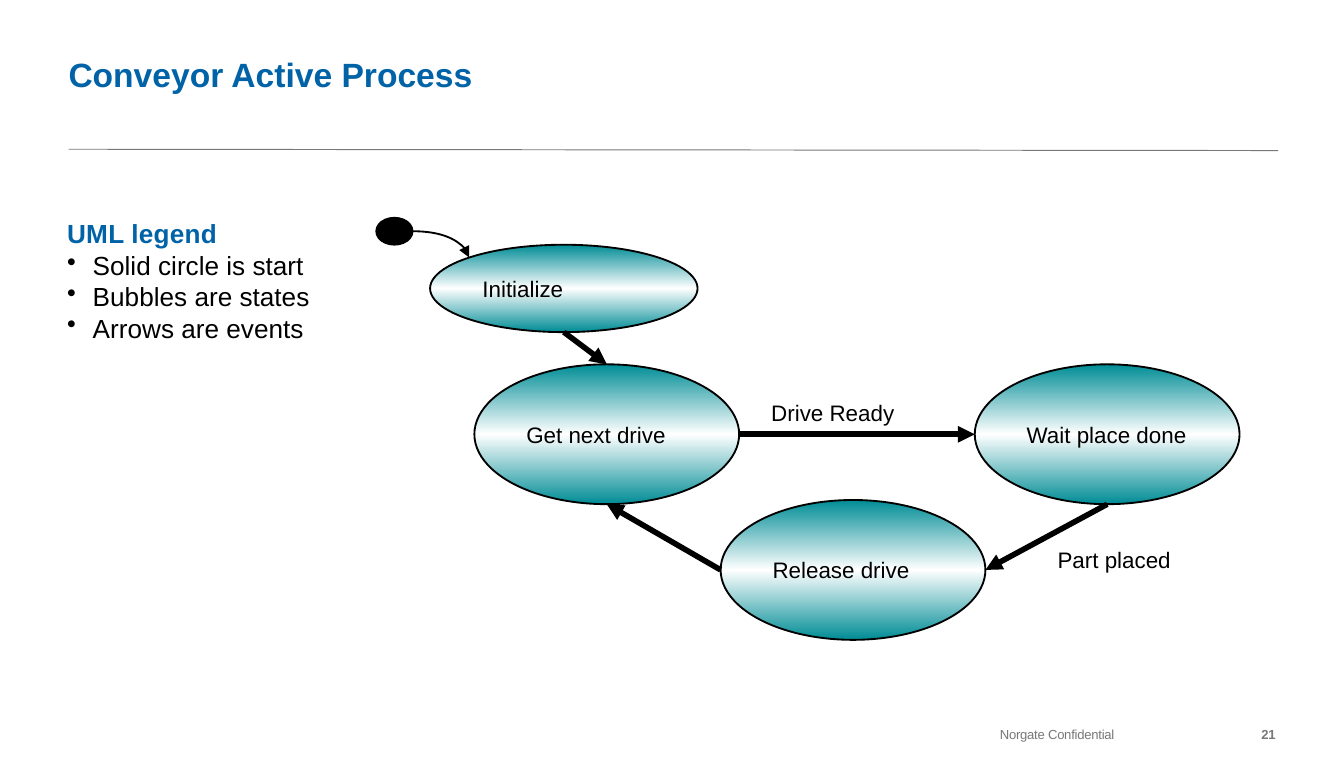
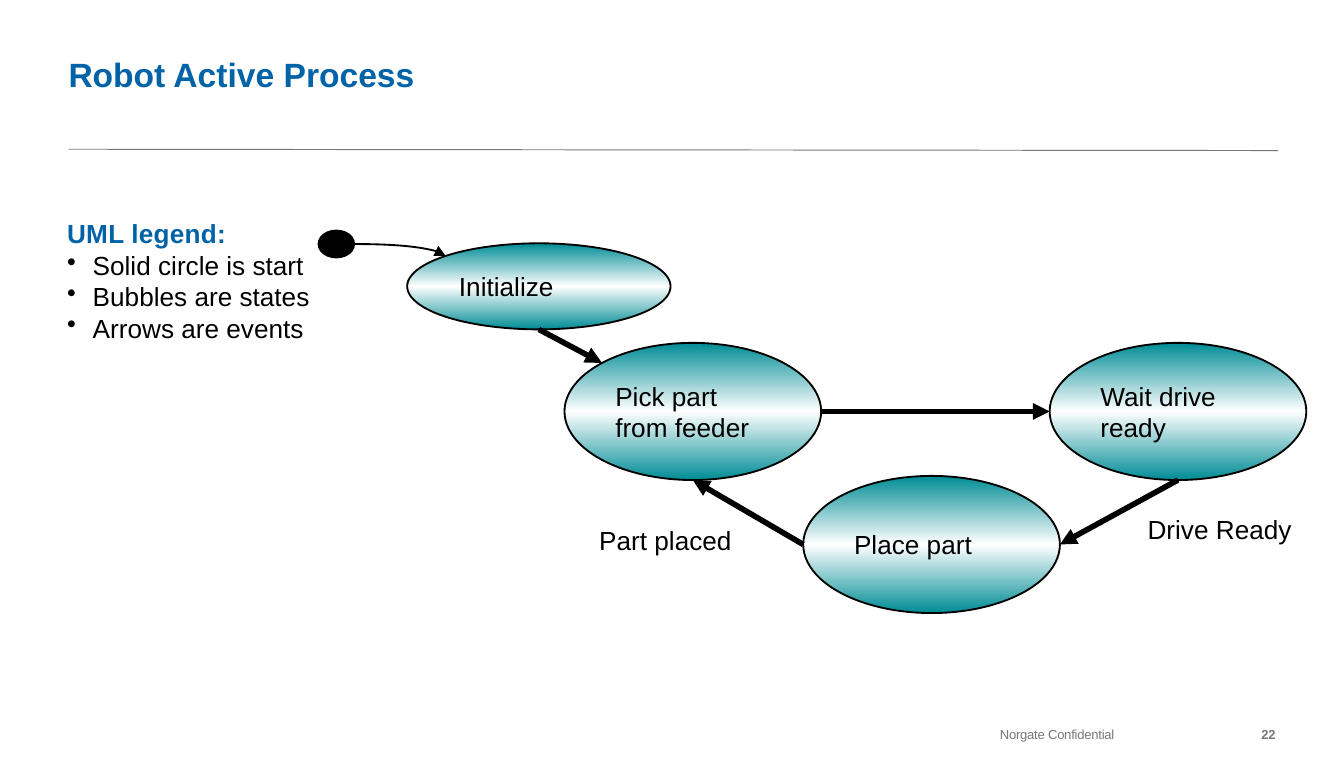
import copy
import dataclasses
import math

import pptx
import pptx.dml.color
import pptx.enum.shapes
import pptx.enum.text
import pptx.oxml
import pptx.oxml.ns
import pptx.util

RGBColor = pptx.dml.color.RGBColor
SHAPE = pptx.enum.shapes.MSO_SHAPE
CONNECTOR = pptx.enum.shapes.MSO_CONNECTOR
ALIGN = pptx.enum.text.PP_ALIGN
ANCHOR = pptx.enum.text.MSO_ANCHOR
AUTO_SIZE = pptx.enum.text.MSO_AUTO_SIZE
qn = pptx.oxml.ns.qn

# Colours and font
BLUE = RGBColor(0x00, 0x63, 0xA7)
TEAL = RGBColor(0x00, 0x8C, 0x95)
GREY = RGBColor(0x78, 0x77, 0x7A)
BLACK = RGBColor(0x00, 0x00, 0x00)
WHITE = RGBColor(0xFF, 0xFF, 0xFF)
FONT = "Arial"

# Grid: 100 columns by 56.3 rows of square cells
WIDTH, HEIGHT = pptx.util.Inches(10), pptx.util.Inches(5.63)
CELL = WIDTH / 100

LEGEND = ["Solid circle is start", "Bubbles are states", "Arrows are events"]
FOOTER = "Norgate Confidential"


@dataclasses.dataclass(frozen=True)
class Box:
    """A place on the grid, in columns and rows."""
    x: float
    y: float
    w: float
    h: float

    def at(self, across: float, down: float) -> tuple[float, float]:
        return self.x + across * self.w, self.y + down * self.h

    @property
    def top(self):
        return self.at(0.5, 0)

    @property
    def bottom(self):
        return self.at(0.5, 1)

    @property
    def left(self):
        return self.at(0, 0.5)

    @property
    def right(self):
        return self.at(1, 0.5)

    @property
    def top_left(self):
        """Point on the ellipse's outline at 45 degrees."""
        share = (1 - math.sqrt(0.5)) / 2
        return self.at(share, share)

    def emu(self) -> list[int]:
        return [round(v * CELL) for v in (self.x, self.y, self.w, self.h)]


@dataclasses.dataclass(frozen=True)
class Label:
    text: str
    box: Box


@dataclasses.dataclass(frozen=True)
class StateSlide:
    title: str
    number: int
    legend_title: str
    size: int
    start: Box
    initialize: Box
    first: Box
    ring_states: tuple[str, str, str]
    entry: str
    labels: tuple[Label, ...]


SLIDES = [
    StateSlide(
        "Conveyor Active Process", 21, "UML legend", 12,
        start=Box(28, 16.2, 2.7, 2),
        initialize=Box(32, 18.2, 19.9, 6.5),
        first=Box(35.3, 27.1, 19.7, 10.4),
        ring_states=("Get next drive", "Wait place done", "Release drive"),
        entry="top",
        labels=(Label("Drive Ready", Box(56.4, 29.2, 12.6, 3.4)),
                Label("Part placed", Box(77.7, 40.1, 11.8, 3.4))),
    ),
    StateSlide(
        "Robot Active Process", 22, "UML legend:", 14,
        start=Box(23.7, 17.15, 2.65, 2),
        initialize=Box(30.3, 18.1, 19.6, 6.4),
        first=Box(42, 25.5, 19.1, 10.2),
        ring_states=("Pick part from feeder", "Wait drive ready", "Place part"),
        entry="top_left",
        labels=(Label("Drive Ready", Box(84.4, 37.7, 12.8, 3.4)),
                Label("Part placed", Box(43.6, 38.5, 11.9, 3.4))),
    ),
]


def format_runs(p, size: float, color: RGBColor, bold: bool = False,
                spacing: int = 0) -> None:
    """Format a paragraph's runs; spacing is in hundredths of a point."""
    for r in p.runs:
        r.font.name = FONT
        r.font.size = pptx.util.Pt(size)
        r.font.bold = bold
        r.font.color.rgb = color
        if spacing:
            r.font._element.set("spc", str(spacing))


def clear_margins(tf) -> None:
    tf.margin_left = tf.margin_right = tf.margin_top = tf.margin_bottom = 0
    tf.word_wrap = True


def add_text(s, box: Box, text: str):
    tf = s.shapes.add_textbox(*box.emu()).text_frame
    clear_margins(tf)
    tf.text = text
    return tf


def add_line(s, begin: tuple[float, float], end: tuple[float, float],
             color: RGBColor = BLACK, width: float = 3,
             arrow: bool = True, curved: bool = False) -> None:
    kind = CONNECTOR.CURVE if curved else CONNECTOR.STRAIGHT
    cxn = s.shapes.add_connector(kind, *(round(v * CELL) for v in (*begin, *end)))
    cxn.line.color.rgb = color
    cxn.line.width = pptx.util.Pt(width)
    sp_pr = cxn.element.spPr
    if curved:
        sp_pr.find(qn("a:prstGeom")).set("prst", "curvedConnector2")
    if arrow:
        tail = pptx.oxml.parse_xml(
            f'<a:tailEnd {pptx.oxml.ns.nsdecls("a")} type="triangle"/>')
        sp_pr.find(qn("a:ln")).append(tail)
    sp_pr.append(pptx.oxml.parse_xml(
        f'<a:effectLst {pptx.oxml.ns.nsdecls("a")}/>'))


def add_ellipse(s, box: Box):
    sp = s.shapes.add_shape(SHAPE.OVAL, *box.emu())
    sp.shadow.inherit = False
    sp.line.color.rgb = BLACK
    sp.line.width = pptx.util.Pt(1)
    return sp


def add_state(s, box: Box, text: str, size: int) -> None:
    sp = add_ellipse(s, box)
    sp.fill.gradient()
    sp.fill.gradient_angle = 90
    stops = sp.element.spPr.find(".//" + qn("a:gsLst"))
    stops.append(copy.deepcopy(stops[0]))
    for stop, position, color in zip(sp.fill.gradient_stops, (0, 0.5, 1),
                                     (TEAL, WHITE, TEAL)):
        stop.position = position
        stop.color.rgb = color
    tf = sp.text_frame
    tf.word_wrap = True
    tf.vertical_anchor = ANCHOR.MIDDLE
    tf.text = text
    p = tf.paragraphs[0]
    p.alignment = ALIGN.LEFT
    format_runs(p, size, BLACK)


def add_start(s, box: Box) -> None:
    sp = add_ellipse(s, box)
    sp.fill.solid()
    sp.fill.fore_color.rgb = BLACK


def add_label(s, label: Label, size: int) -> None:
    tf = s.shapes.add_textbox(*label.box.emu()).text_frame
    tf.word_wrap = False
    tf.auto_size = AUTO_SIZE.SHAPE_TO_FIT_TEXT
    tf.text = label.text
    format_runs(tf.paragraphs[0], size, BLACK)


def add_frame(s, title: str, number: int) -> None:
    """Title, rule and footer."""
    sp = s.shapes.title
    sp.left, sp.top, sp.width, sp.height = Box(5.1, 0, 79.9, 7).emu()
    tf = sp.text_frame
    clear_margins(tf)
    tf.auto_size = AUTO_SIZE.NONE
    tf.vertical_anchor = ANCHOR.BOTTOM
    tf.text = title
    tf.paragraphs[0].alignment = ALIGN.LEFT
    format_runs(tf.paragraphs[0], 18, BLUE, bold=True)

    add_line(s, (5.1, 11.1), (95.1, 11.2), GREY, 0.5, arrow=False)

    tf = add_text(s, Box(74.4, 54, 10.6, 1.2), FOOTER)
    format_runs(tf.paragraphs[0], 7, GREY, spacing=-10)
    tf = add_text(s, Box(84.4, 54, 10.5, 1.2), str(number))
    tf.paragraphs[0].alignment = ALIGN.RIGHT
    format_runs(tf.paragraphs[0], 7, GREY, bold=True, spacing=-10)


def add_legend(s, heading: str) -> None:
    tf = add_text(s, Box(5, 16.2, 80, 35.3), heading)
    format_runs(tf.paragraphs[0], 14, BLUE, bold=True, spacing=10)
    indent = round(1.9 * CELL)
    for item in LEGEND:
        p = tf.add_paragraph()
        p.text = item
        format_runs(p, 14, BLACK)
        p_pr = p._p.get_or_add_pPr()
        p_pr.set("marL", str(indent))
        p_pr.set("indent", str(-indent))
        p_pr.append(pptx.oxml.parse_xml(
            f'<a:buChar {pptx.oxml.ns.nsdecls("a")} char="•"/>'))


def add_diagram(s, d: StateSlide) -> None:
    # The ring's second and third states sit at fixed shares of the first's size
    first = d.first
    second = dataclasses.replace(first, x=first.x + 1.89 * first.w)
    third = dataclasses.replace(first, x=first.x + 0.93 * first.w,
                                y=first.y + 0.97 * first.h)
    for box, text in zip((first, second, third), d.ring_states):
        add_state(s, box, text, d.size)
    add_line(s, first.right, second.left)
    add_line(s, second.bottom, third.right)
    add_line(s, third.left, first.bottom)
    for label in d.labels:
        add_label(s, label, d.size)

    # Way in from the start circle
    add_state(s, d.initialize, "Initialize", d.size)
    add_start(s, d.start)
    add_line(s, d.initialize.bottom, getattr(first, d.entry))
    add_line(s, d.start.right, d.initialize.top_left, width=1, curved=True)


def main() -> None:
    prs = pptx.Presentation()
    prs.slide_width, prs.slide_height = WIDTH, HEIGHT
    title_only = prs.slide_layouts[5]
    for d in SLIDES:
        s = prs.slides.add_slide(title_only)
        add_frame(s, d.title, d.number)
        add_legend(s, d.legend_title)
        add_diagram(s, d)
    prs.save("out.pptx")


if __name__ == "__main__":
    main()
